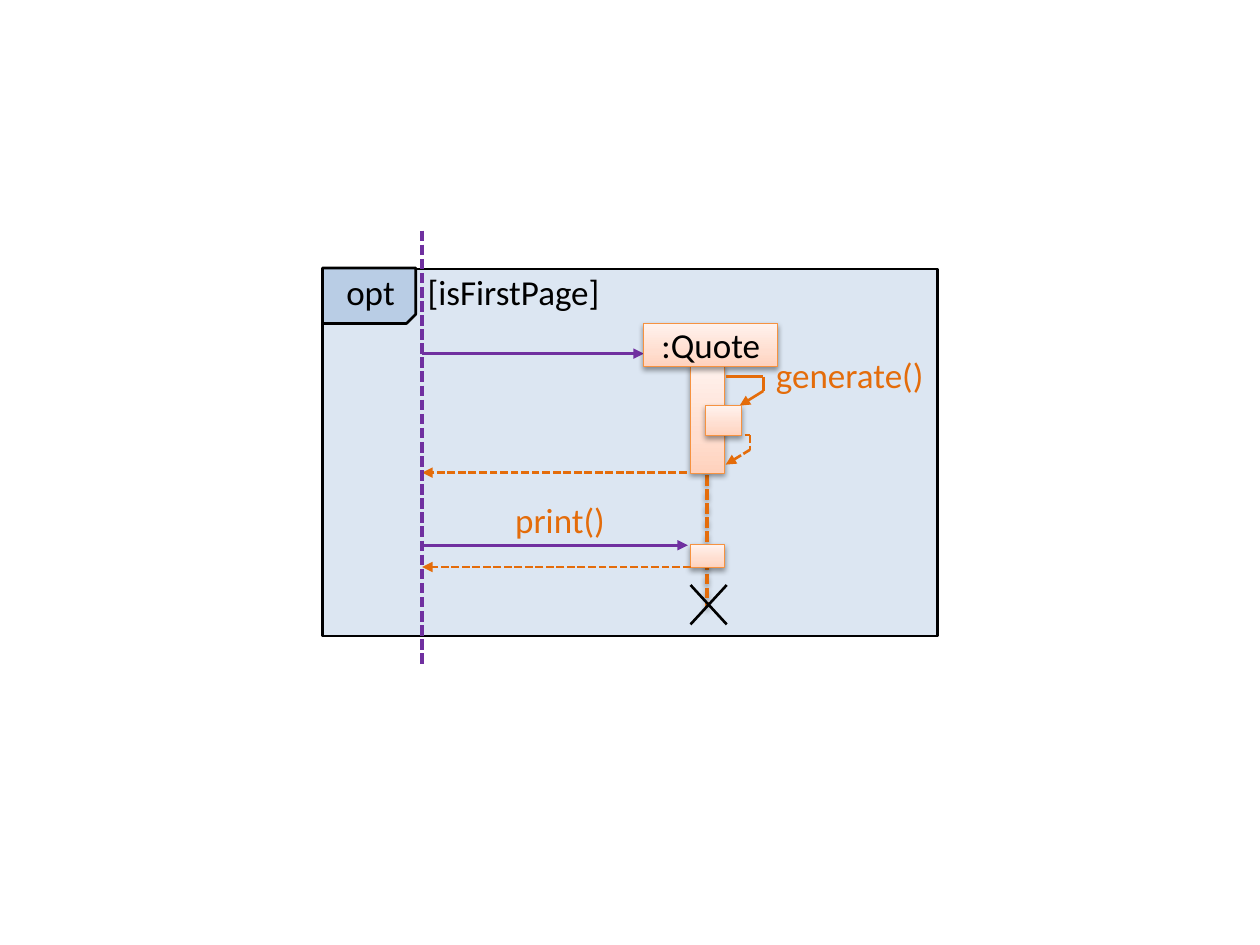
import copy
import dataclasses
import itertools

import lxml.etree
import pptx
import pptx.dml.color
import pptx.enum.dml
import pptx.enum.shapes
import pptx.enum.text
import pptx.oxml.ns
import pptx.util

Pt = pptx.util.Pt
KIND = pptx.enum.shapes.MSO_SHAPE
ALIGN = pptx.enum.text.PP_ALIGN
ANCHOR = pptx.enum.text.MSO_ANCHOR


@dataclasses.dataclass(frozen=True)
class Theme:
    font: str = "Calibri"
    size: float = 20
    black: str = "000000"
    frame: str = "DCE6F2"
    tab: str = "B9CDE5"
    purple: str = "7030A0"
    orange: str = "E46C0A"
    edge: str = "F69240"
    blend: tuple = ((0, "FFD2BD"), (0.35, "FFDED0"), (1, "FFF2ED"))
    thin: float = 0.75
    line: float = 1.5
    thick: float = 2


THEME = Theme()


def color(code):
    return pptx.dml.color.RGBColor.from_string(code)


def add_node(parent, tag, **attrs):
    node = lxml.etree.SubElement(parent, pptx.oxml.ns.qn(tag))
    for key, value in attrs.items():
        node.set(key, str(value))
    return node


def add_shade(effects):
    """Put a soft shadow straight below into an effect list."""
    shade = add_node(effects, "a:outerShdw", blurRad=Pt(3.1), dist=Pt(1.6),
                     dir=90 * 60000, rotWithShape=0)
    tone = add_node(shade, "a:srgbClr", val=THEME.black)
    add_node(tone, "a:alpha", val=38000)


def write(shape, text, tone=THEME.black, align=ALIGN.LEFT,
          anchor=ANCHOR.TOP, inset=None, stop=None):
    frame = shape.text_frame
    frame.word_wrap = True
    frame.vertical_anchor = anchor
    if inset is not None:
        frame.margin_left = frame.margin_right = Pt(inset)
        frame.margin_top = frame.margin_bottom = Pt(inset)
    para = frame.paragraphs[0]
    para.text = text
    para.alignment = align
    if stop is not None:
        tabs = add_node(para._p.get_or_add_pPr(), "a:tabLst")
        add_node(tabs, "a:tab", pos=Pt(stop), algn="l")
    para.font.name = THEME.font
    para.font.size = Pt(THEME.size)
    para.font.color.rgb = color(tone)


def add_label(slide, box, text, **style):
    write(slide.shapes.add_textbox(*map(Pt, box)), text, **style)


def add_panel(slide, kind, box, fill):
    shape = slide.shapes.add_shape(kind, *map(Pt, box))
    shape.shadow.inherit = False
    shape.fill.solid()
    shape.fill.fore_color.rgb = color(fill)
    shape.line.color.rgb = color(THEME.black)
    shape.line.width = Pt(THEME.line)
    return shape


def add_bar(slide, box):
    """Add a shaded box with the peach blend, light at the top."""
    shape = slide.shapes.add_shape(KIND.RECTANGLE, *map(Pt, box))
    shape.fill.gradient()
    shape.fill.gradient_angle = 90
    stops = shape.fill._xPr.find(".//" + pptx.oxml.ns.qn("a:gsLst"))
    stops.append(copy.deepcopy(stops[0]))
    for stop, (place, tone) in zip(shape.fill.gradient_stops, THEME.blend):
        stop.position = place
        stop.color.rgb = color(tone)
    shape.line.color.rgb = color(THEME.edge)
    shape.line.width = Pt(THEME.thin)
    shape.shadow.inherit = False
    add_shade(shape._element.spPr.find(pptx.oxml.ns.qn("a:effectLst")))
    return shape


def add_line(slide, start, end, tone, width=THEME.line,
             dash=False, arrow=False, shade=False):
    line = slide.shapes.add_connector(
        pptx.enum.shapes.MSO_CONNECTOR.STRAIGHT, *map(Pt, start + end))
    line.line.color.rgb = color(tone)
    line.line.width = Pt(width)
    if dash:
        line.line.dash_style = pptx.enum.dml.MSO_LINE.SQUARE_DOT
    if arrow:
        add_node(line.line._get_or_add_ln(), "a:tailEnd", type="triangle")
    effects = add_node(line._element.spPr, "a:effectLst")
    if shade:
        add_shade(effects)


def add_loop(slide, points, dash=False):
    """Join the points with lines; the last one carries the arrow."""
    for start, end in itertools.pairwise(points):
        add_line(slide, start, end, THEME.orange, dash=dash,
                 arrow=end == points[-1])


def main():
    deck = pptx.Presentation()
    deck.slide_width, deck.slide_height = Pt(720), Pt(540)
    slide = deck.slides.add_slide(deck.slide_layouts[6])
    call, bar, wide = 241.2, 394.6, 19.6  # caller line, bar left, bar width

    # Frame with its tab and guard
    add_panel(slide, KIND.RECTANGLE, (184.3, 153.7, 351.4, 209.7), THEME.frame)
    tab = add_panel(slide, KIND.SNIP_1_RECTANGLE, (184.3, 153.2, 53.3, 31.7),
                    THEME.tab)
    tab._element.spPr.find(pptx.oxml.ns.qn("a:xfrm")).set("flipV", "1")
    add_label(slide, (190.8, 151.2, 237.6, 30.2), "opt\t[isFirstPage]",
              anchor=ANCHOR.MIDDLE, stop=46.5)

    # Quote object, made by the caller
    add_line(slide, (403.9, 223.2), (403.9, 347), THEME.orange,
             width=THEME.thick, dash=True, shade=True)
    add_line(slide, (call, 202.1), (367.9, 202.1), THEME.purple, arrow=True)
    add_bar(slide, (bar, 208.8, wide, 61.6))
    add_line(slide, (392.4, 270.1), (call, 270.1), THEME.orange,
             dash=True, arrow=True)
    quote = add_bar(slide, (367.9, 184.9, 76.5, 24.4))
    write(quote, ":Quote", align=ALIGN.CENTER, inset=0)

    # Self call and its return
    add_loop(slide, [(414.7, 215.2), (436.2, 215.2), (436.2, 223.4),
                     (422.7, 231.8)])
    add_loop(slide, [(407.5, 248.6), (428.6, 248.6), (428.6, 257),
                     (414.7, 265.5)], dash=True)
    add_bar(slide, (403.3, 231.8, 20.4, 17))
    add_label(slide, (436.3, 198.2, 143.3, 31.5), "generate()",
              tone=THEME.orange)

    # Print call and its return
    add_line(slide, (call, 311.6), (393.1, 311.6), THEME.purple, arrow=True)
    add_label(slide, (287.3, 281.1, 114.5, 31.5), "print()",
              tone=THEME.orange)
    add_bar(slide, (bar, 311.2, wide, 13))
    add_line(slide, (bar, 324), (call, 324), THEME.orange,
             dash=True, arrow=True)

    # End mark and caller line
    left, right, top, base = 394.6, 415.3, 334.3, 356.8
    add_line(slide, (right, base), (left, top), THEME.black)
    add_line(slide, (right, top), (left, base), THEME.black)
    add_line(slide, (call, 131.8), (call, 380.9), THEME.purple,
             width=THEME.thick, dash=True)

    deck.save("out.pptx")


if __name__ == "__main__":
    main()
